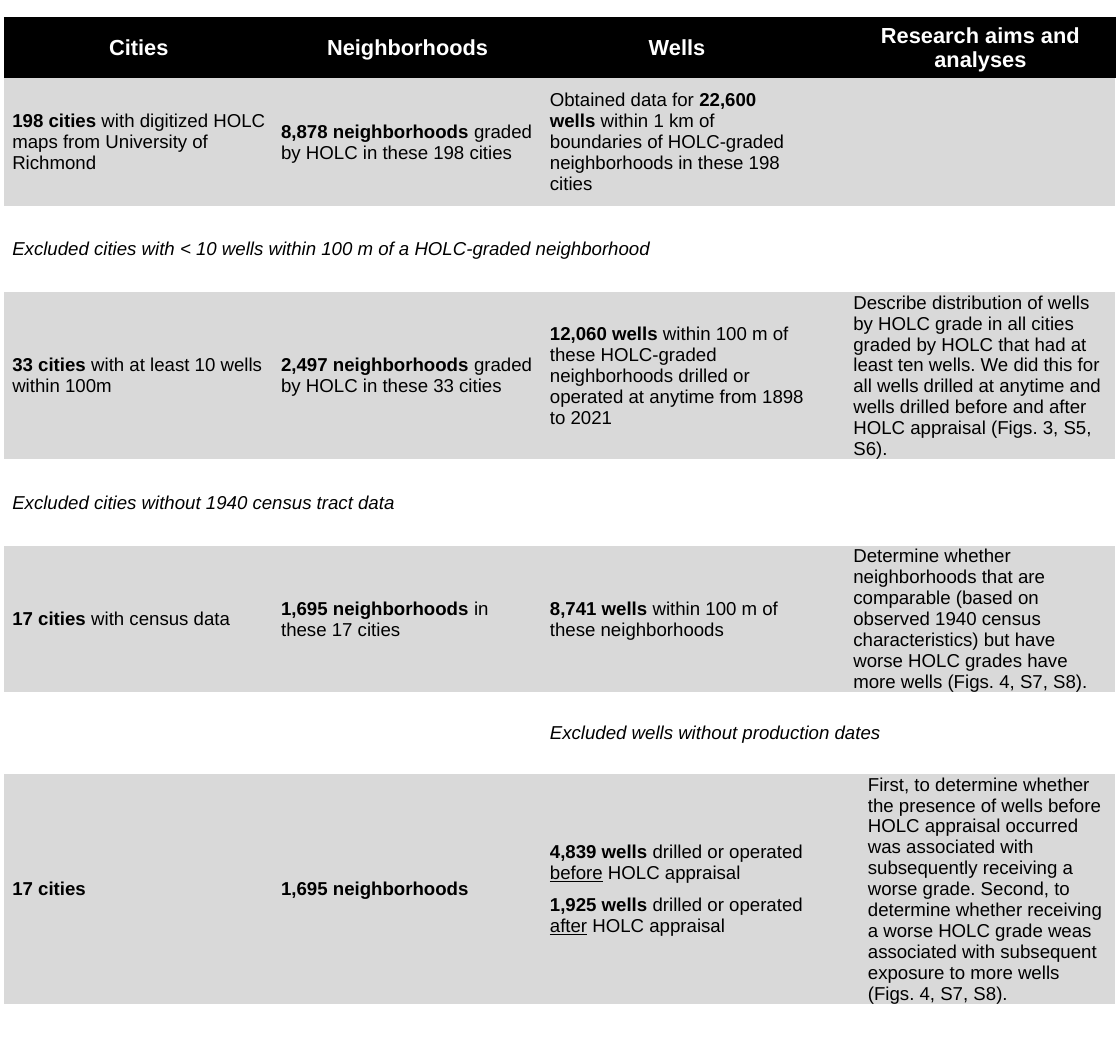
from dataclasses import dataclass, field
from typing import NamedTuple

import pptx
import pptx.dml.color
import pptx.enum.text
import pptx.oxml
import pptx.oxml.ns
import pptx.util

Inches = pptx.util.Inches
COLORS = {"black": "000000", "white": "FFFFFF", "band": "D9D9D9"}
COLUMN_WIDTHS = [2.4, 2.4, 2.41, 0.13, 0.17, 0.13, 2.28]
PLAIN_STYLE = "{2D5ABB26-0587-4C30-8999-92F81FD0307C}"
BOLD = {"bold": True}
ITALIC = {"italic": True}
UNDERLINE = {"underline": True}
HEADER_FONT = {"name": "Arial", "size": pptx.util.Pt(14), "bold": True}
BODY_FONT = {"name": "Arial", "size": pptx.util.Pt(12), "bold": False}
BODY_MARGINS = {
    "margin_left": Inches(0.07),
    "margin_right": Inches(0.07),
    "margin_top": 0,
    "margin_bottom": 0,
}


class Span(NamedTuple):
    text: str
    font: dict = {}


@dataclass
class Entry:
    column: int
    width: int = 1
    paragraphs: list[list[Span]] = field(default_factory=list)


@dataclass
class Row:
    height: float
    entries: list[Entry]
    fill: str = ""
    header: bool = False


def entry(column: int, *spans: Span, width: int = 1) -> Entry:
    return Entry(column, width, [list(spans)] if spans else [])


def count(column: int, number: str, rest: str = "") -> Entry:
    return entry(column, Span(number, BOLD), Span(rest))


def period_wells(number: str, period: str) -> list[Span]:
    return [
        Span(number, BOLD),
        Span(" drilled or operated "),
        Span(period, UNDERLINE),
        Span(" HOLC appraisal"),
    ]


ROWS = [
    Row(0.54, [
        entry(0, Span("Cities")),
        entry(1, Span("Neighborhoods")),
        entry(2, Span("Wells")),
        entry(3, width=2),
        entry(5, Span("Research aims and analyses"), width=2),
    ], "black", True),
    Row(1.14, [
        count(0, "198 cities", " with digitized HOLC maps from University of Richmond"),
        count(1, "8,878 neighborhoods", " graded by HOLC in these 198 cities"),
        entry(2, Span("Obtained data for "), Span("22,600 wells", BOLD),
              Span(" within 1 km of boundaries of HOLC-graded neighborhoods in these 198 cities")),
        entry(3, width=2),
        entry(5, width=2),
    ], "band"),
    Row(0.77, [
        entry(0, Span("Excluded cities with < 10 wells within 100 m of a HOLC-graded neighborhood",
                      ITALIC), width=3),
        entry(3, width=2),
        entry(5, width=2),
    ]),
    Row(1.49, [
        count(0, "33 cities ", "with at least 10 wells within 100m"),
        count(1, "2,497 neighborhoods", " graded by HOLC in these 33 cities"),
        count(2, "12,060 wells", " within 100 m of these HOLC-graded neighborhoods "
              "drilled or operated at anytime from 1898 to 2021"),
        entry(3, width=2),
        entry(5, Span("Describe distribution of wells by HOLC grade in all cities graded by HOLC "
                      "that had at least ten wells. We did this for all wells drilled at anytime "
                      "and wells drilled before and after HOLC appraisal (Figs. 3, S5, S6)."),
              width=2),
    ], "band"),
    Row(0.77, [
        entry(0, Span("Excluded cities without 1940 census tract data", ITALIC), width=3),
        entry(3, width=2),
        entry(5, width=2),
    ]),
    Row(1.31, [
        count(0, "17 cities ", "with census data"),
        count(1, "1,695 neighborhoods", " in these 17 cities"),
        count(2, "8,741 wells", " within 100 m of these neighborhoods"),
        entry(3, width=2),
        entry(5, Span("Determine whether neighborhoods that are comparable (based on observed "
                      "1940 census characteristics) but have worse HOLC grades have more wells "
                      "(Figs. 4, S7, S8)."), width=2),
    ], "band"),
    Row(0.73, [
        entry(0),
        entry(1),
        entry(2, Span("Excluded wells without production dates", ITALIC), width=5),
    ]),
    Row(2.05, [
        count(0, "17 cities"),
        count(1, "1,695 neighborhoods"),
        Entry(2, 2, [period_wells("4,839 wells ".strip(), "before"),
                     period_wells("1,925 wells", "after")]),
        entry(4, width=2),
        entry(6, Span("First, to determine whether the presence of wells before HOLC appraisal "
                      "occurred was associated with subsequently receiving a worse grade. Second, "
                      "to determine whether receiving a worse HOLC grade weas associated with "
                      "subsequent exposure to more wells (Figs. 4, S7, S8).")),
    ], "band"),
]


def apply_format(target: object, values: dict) -> None:
    for name, value in values.items():
        setattr(target, name, value)


def color(name: str) -> pptx.dml.color.RGBColor:
    return pptx.dml.color.RGBColor.from_string(COLORS[name])


def add_borders(cell: object) -> None:
    properties = cell._tc.get_or_add_tcPr()
    for index, side in enumerate(("lnL", "lnR", "lnT")):
        properties.insert(index, pptx.oxml.parse_xml(
            f'<a:{side} {pptx.oxml.ns.nsdecls("a")} w="12700"><a:solidFill>'
            f'<a:srgbClr val="{COLORS["black"]}"/></a:solidFill></a:{side}>'))


def write_paragraphs(cell: object, paragraphs: list[list[Span]], header: bool) -> None:
    for index, spans in enumerate(paragraphs):
        para = cell.text_frame.add_paragraph() if index else cell.text_frame.paragraphs[0]
        if index:
            para.space_before = pptx.util.Pt(7)
        if header:
            para.alignment = pptx.enum.text.PP_ALIGN.CENTER
        for text, font in spans:
            if text:
                span = para.add_run()
                span.text = text
                apply_format(span.font, (HEADER_FONT if header else BODY_FONT) | font)
                span.font.color.rgb = color("white" if header else "black")


def fill_row(table: object, index: int, row: Row) -> None:
    table.rows[index].height = Inches(row.height)
    for item in row.entries:
        cell = table.cell(index, item.column)
        if item.width > 1:
            cell.merge(table.cell(index, item.column + item.width - 1))
        cell.vertical_anchor = pptx.enum.text.MSO_ANCHOR.MIDDLE
        if row.fill:
            cell.fill.solid()
            cell.fill.fore_color.rgb = color(row.fill)
        else:
            cell.fill.background()
        if row.header:
            add_borders(cell)
        else:
            apply_format(cell, BODY_MARGINS)
        write_paragraphs(cell, item.paragraphs, row.header)


def main() -> None:
    deck = pptx.Presentation()
    apply_format(deck, {"slide_width": Inches(10), "slide_height": Inches(9.5)})
    page = deck.slides.add_slide(deck.slide_layouts[6])
    table = page.shapes.add_table(
        len(ROWS), len(COLUMN_WIDTHS), Inches(0.04), Inches(0.16),
        Inches(sum(COLUMN_WIDTHS)), Inches(sum(row.height for row in ROWS))).table
    apply_format(table, {"first_row": False, "horz_banding": False})
    table._tbl.tblPr.find(pptx.oxml.ns.qn("a:tableStyleId")).text = PLAIN_STYLE
    for column, width in zip(table.columns, COLUMN_WIDTHS):
        column.width = Inches(width)
    for index, row in enumerate(ROWS):
        fill_row(table, index, row)
    deck.save("out.pptx")


if __name__ == "__main__":
    main()
